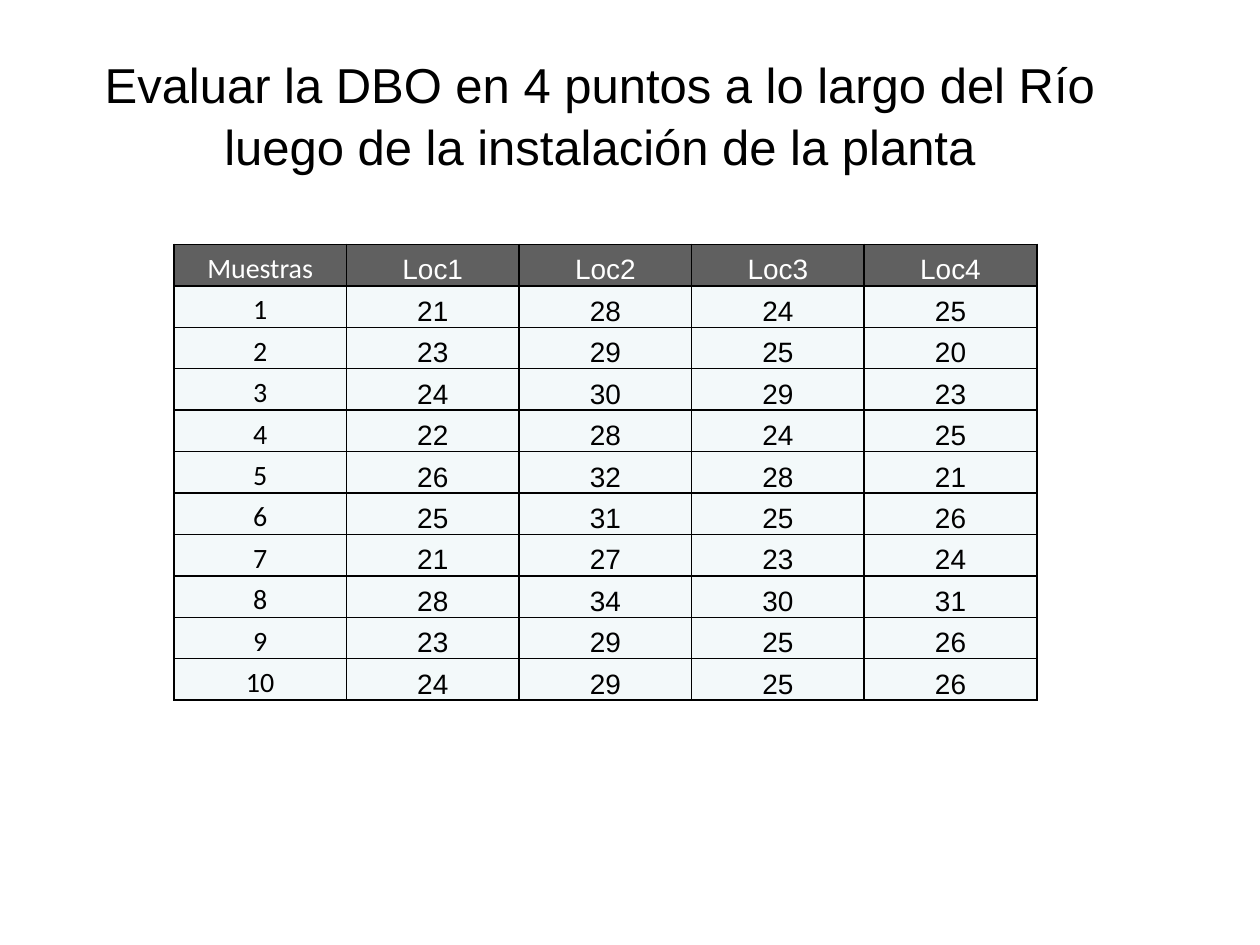
import pptx
import pptx.util
import pptx.dml.color
import pptx.enum.text
import pptx.oxml
import pptx.oxml.ns

Inches = pptx.util.Inches
Pt = pptx.util.Pt

COLORS = {"header": "606060", "body": "F3F9FA", "line": "000000",
          "text": "000000", "header_text": "FFFFFF"}

HEADERS = ["Muestras", "Loc1", "Loc2", "Loc3", "Loc4"]
READINGS = [
    (21, 28, 24, 25), (23, 29, 25, 20), (24, 30, 29, 23), (22, 28, 24, 25),
    (26, 32, 28, 21), (25, 31, 25, 26), (21, 27, 23, 24), (28, 34, 30, 31),
    (23, 29, 25, 26), (24, 29, 25, 26),
]


def rgb(name):
    return pptx.dml.color.RGBColor.from_string(COLORS[name])


def format_paragraph(paragraph, font_name, size, color):
    paragraph.alignment = pptx.enum.text.PP_ALIGN.CENTER
    for run in paragraph.runs:
        run.font.name = font_name
        run.font.size = Pt(size)
        run.font.color.rgb = rgb(color)


def add_title(slide, left, top, width, height):
    shape = slide.shapes.add_textbox(left, top, width, height)
    text_frame = shape.text_frame
    text_frame.word_wrap = True
    text_frame.auto_size = pptx.enum.text.MSO_AUTO_SIZE.SHAPE_TO_FIT_TEXT
    text_frame.text = ("Evaluar la DBO en 4 puntos a lo largo del Río "
                       "luego de la instalación de la planta")
    paragraph = text_frame.paragraphs[0]
    paragraph.line_spacing = 1.05
    format_paragraph(paragraph, "Arial", 28, "text")


def set_borders(cell):
    properties = cell._tc.get_or_add_tcPr()
    for index, side in enumerate(("lnL", "lnR", "lnT", "lnB")):
        border = pptx.oxml.parse_xml(
            f'<a:{side} {pptx.oxml.ns.nsdecls("a")} w="{Pt(1)}"><a:solidFill>'
            f'<a:srgbClr val="{COLORS["line"]}"/></a:solidFill></a:{side}>')
        properties.insert(index, border)


def format_cell(cell, value, font_name, is_header):
    cell.text = str(value)
    cell.vertical_anchor = pptx.enum.text.MSO_ANCHOR.BOTTOM
    cell.margin_left = cell.margin_right = cell.margin_top = Inches(0.01)
    cell.margin_bottom = 0
    cell.fill.solid()
    cell.fill.fore_color.rgb = rgb("header" if is_header else "body")
    format_paragraph(cell.text_frame.paragraphs[0], font_name, 16,
                     "header_text" if is_header else "text")
    set_borders(cell)


def add_readings_table(slide, left, top, width, height):
    rows = [HEADERS] + [(number, *values)
                        for number, values in enumerate(READINGS, start=1)]
    table = slide.shapes.add_table(len(rows), len(HEADERS),
                                   left, top, width, height).table
    table.horz_banding = False
    for row_index, values in enumerate(rows):
        for column_index, value in enumerate(values):
            # The sample column has its own font
            font_name = "Calibri" if column_index == 0 else "Arial"
            format_cell(table.cell(row_index, column_index), value,
                        font_name, row_index == 0)


def main():
    presentation = pptx.Presentation()
    presentation.slide_width = Inches(10)
    presentation.slide_height = Inches(7.5)
    slide = presentation.slides.add_slide(presentation.slide_layouts[6])
    add_readings_table(slide, Inches(1.38), Inches(1.94),
                       Inches(6.85), Inches(3.62))
    add_title(slide, Inches(0.51), Inches(0.36), Inches(8.5), Inches(1.04))
    presentation.save("out.pptx")


if __name__ == "__main__":
    main()
